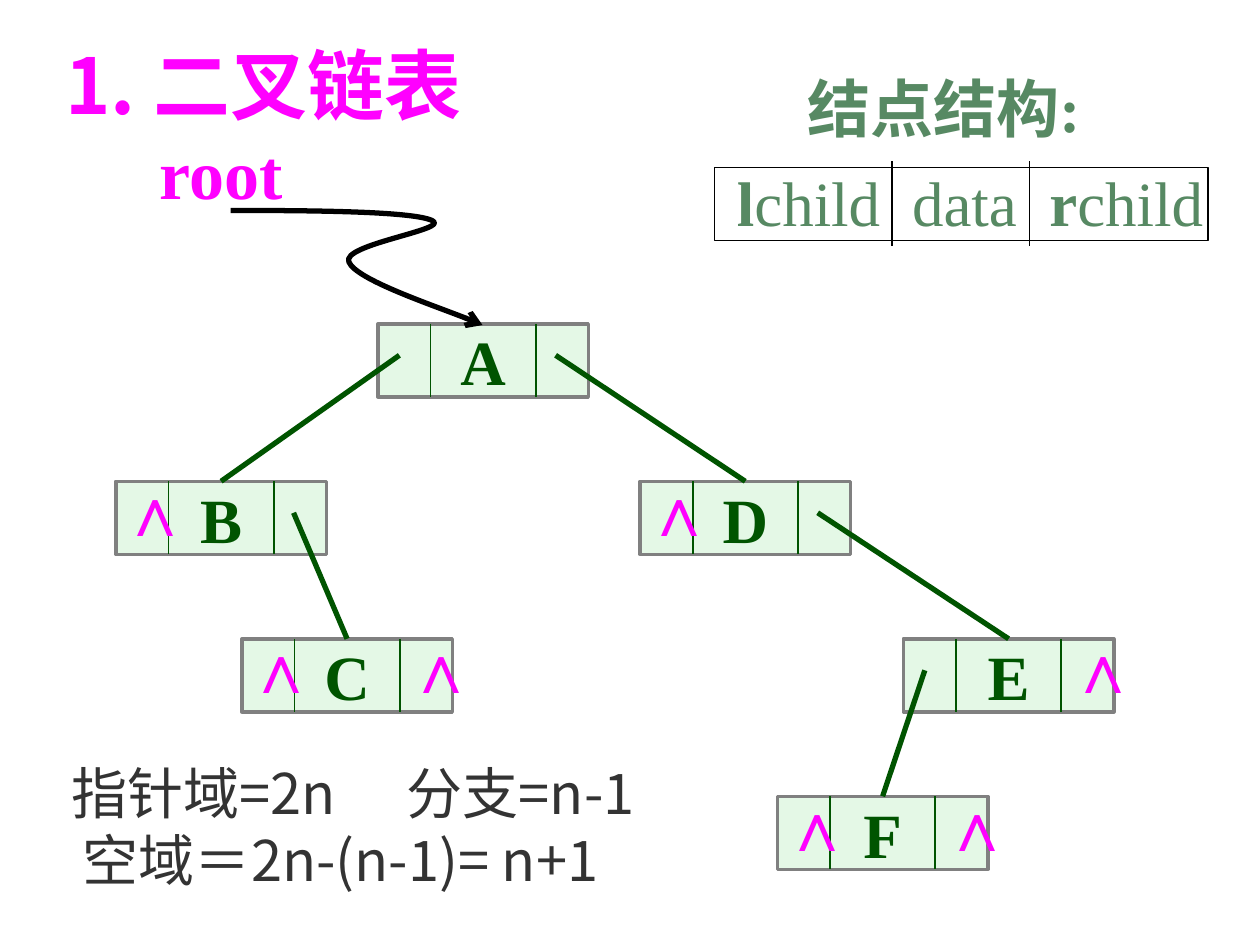
from lxml import etree
from pptx import Presentation
from pptx.dml.color import RGBColor
from pptx.enum.shapes import MSO_CONNECTOR, MSO_SHAPE
from pptx.enum.text import MSO_ANCHOR, MSO_AUTO_SIZE, PP_ALIGN
from pptx.oxml.ns import qn
from pptx.util import Inches, Pt

RECT = MSO_SHAPE.RECTANGLE
STRAIGHT = MSO_CONNECTOR.STRAIGHT
MIDDLE = MSO_ANCHOR.MIDDLE
GROW = MSO_AUTO_SIZE.SHAPE_TO_FIT_TEXT
CENTER = PP_ALIGN.CENTER

MINT = RGBColor(0xCA, 0xF2, 0xCE)
GREEN = RGBColor(0x00, 0x54, 0x00)
SAGE = RGBColor(0x57, 0x89, 0x63)
MAGENTA = RGBColor(0xFF, 0x00, 0xFF)
GRAY = RGBColor(0x80, 0x80, 0x80)
DARK = RGBColor(0x33, 0x33, 0x33)
BLACK = RGBColor(0, 0, 0)
SERIF = "Times New Roman"
SANS = "Noto Sans CJK SC"

NODE_W, NODE_H = 1.67, 0.58
LEVELS = [2.57, 3.82, 5.07, 6.32]
NODES = {
    "A": (3, 0, "B", "D"),
    "D": (5.08, 1, None, "E"),
    "E": (7.17, 2, "F", None),
    "B": (0.92, 1, None, "C"),
    "C": (1.92, 2, None, None),
    "F": (6.17, 3, None, None),
}
ROOT_CURVE = [(1.83, 1.67),
              (2.56, 1.67), (3.28, 1.68), (3.43, 1.75),
              (3.59, 1.82), (2.7, 1.94), (2.77, 2.08),
              (2.83, 2.22), (3.66, 2.5), (3.83, 2.58)]
FIELDS = [("l", True), ("child\tdata\t", False), ("r", True), ("child", False)]
FIELD_TABS = [1.39, 2.48]
FORMULAS = [
    ((0.47, 5.97, 2.53, 0.63), "指针域=2n"),
    ((3.13, 5.97, 2.53, 0.63), "分支=n-1"),
    ((0.56, 6.5, 4.46, 0.63), "空域＝2n-(n-1)= n+1"),
]

prs = Presentation()
prs.slide_width, prs.slide_height = Inches(10), Inches(7.5)
s = prs.slides.add_slide(prs.slide_layouts[6])


def add_run(p, text, size, color, font, bold, east=None):
    r = p.add_run()
    r.text = text
    r.font.size = Pt(size)
    r.font.name = font
    r.font.bold = bold
    r.font.color.rgb = color
    if east:
        ea = etree.SubElement(r.font._element, qn("a:ea"))
        ea.set("typeface", east)


def add_text(box, runs, size, color, font=SERIF, east=None, wrap=False):
    tb = s.shapes.add_textbox(*map(Inches, box))
    tf = tb.text_frame
    tf.word_wrap = wrap
    tf.auto_size = GROW
    p = tf.paragraphs[0]
    for text, bold in runs:
        add_run(p, text, size, color, font, bold, east)
    return p


def add_rect(box, line, width, fill=None):
    sp = s.shapes.add_shape(RECT, *map(Inches, box))
    sp.shadow.inherit = False
    sp.line.color.rgb = line
    sp.line.width = Pt(width)
    if fill is None:
        sp.fill.background()
    else:
        sp.fill.solid()
        sp.fill.fore_color.rgb = fill
    return sp


def add_line(start, end, color, width):
    cx = s.shapes.add_connector(STRAIGHT, *map(Inches, (*start, *end)))
    cx.line.color.rgb = color
    cx.line.width = Pt(width)
    etree.SubElement(cx._element.spPr, qn("a:effectLst"))


def add_node(name, x, y):
    sp = add_rect((x, y, NODE_W, NODE_H), GRAY, 2, MINT)
    clr = sp._element.spPr.find(qn("a:solidFill"))[0]
    etree.SubElement(clr, qn("a:alpha")).set("val", "50000")
    tf = sp.text_frame
    tf.word_wrap = False
    tf.vertical_anchor = MIDDLE
    p = tf.paragraphs[0]
    p.alignment = CENTER
    add_run(p, name, 36, GREEN, SERIF, True)
    for part in (0.25, 0.75):
        cut = x + NODE_W * part
        add_line((cut, y), (cut, y + NODE_H), GREEN, 1)


def add_root_curve():
    fb = s.shapes.build_freeform(*map(Inches, ROOT_CURVE[0]))
    fb.add_line_segments([tuple(map(Inches, pt)) for pt in ROOT_CURVE[1:]], close=False)
    sp = fb.convert_to_shape()
    sp.shadow.inherit = False
    sp.fill.background()
    sp.line.color.rgb = BLACK
    sp.line.width = Pt(3)
    path = next(sp._element.iter(qn("a:path")))
    steps = path.findall(qn("a:lnTo"))
    for i in range(0, len(steps), 3):
        curve = etree.SubElement(path, qn("a:cubicBezTo"))
        for step in steps[i:i + 3]:
            curve.append(step[0])
            path.remove(step)
    ln = sp._element.spPr.find(qn("a:ln"))
    etree.SubElement(ln, qn("a:tailEnd")).set("type", "arrow")


for name, (x, level, *_) in NODES.items():
    add_node(name, x, LEVELS[level])

for x, level, *children in NODES.values():
    y = LEVELS[level]
    for child, wedge_dx, edge_dx in zip(children, (-0.06, 1.21), (0.17, 1.41)):
        if child is None:
            add_text((x + wedge_dx, y - 0.17, 0.54, 0.77), [("∧", True)], 40, MAGENTA)
        else:
            cx, child_level = NODES[child][:2]
            add_line((x + edge_dx, y + 0.25), (cx + NODE_W / 2, LEVELS[child_level]), GREEN, 3)

add_root_curve()
add_text((1.17, 0.98, 1.19, 0.77), [("root", True)], 40, MAGENTA)

p = add_text((5.75, 1.25, 3.9, 0.7), FIELDS, 36, SAGE)
tabs = etree.SubElement(p._p.get_or_add_pPr(), qn("a:tabLst"))
for pos in FIELD_TABS:
    tab = etree.SubElement(tabs, qn("a:tab"))
    tab.set("pos", str(Inches(pos)))
    tab.set("algn", "l")
add_rect((5.67, 1.33, 3.92, 0.58), BLACK, 1)
for x in (7.08, 8.17):
    add_line((x, 1.28), (x, 1.95), BLACK, 1)

add_text((6.31, 0.5, 2.38, 0.7), [("结点结构:", True)], 36, SAGE, east=SANS)
p = add_text((0.42, 0.1, 3.56, 0.98), [("1. 二叉链表", True)], 44, MAGENTA, SANS, SANS)
p.line_spacing = 1.2
for box, text in FORMULAS:
    add_text(box, [(text, False)], 32, DARK, SANS, SANS, wrap=True)

prs.save("out.pptx")
